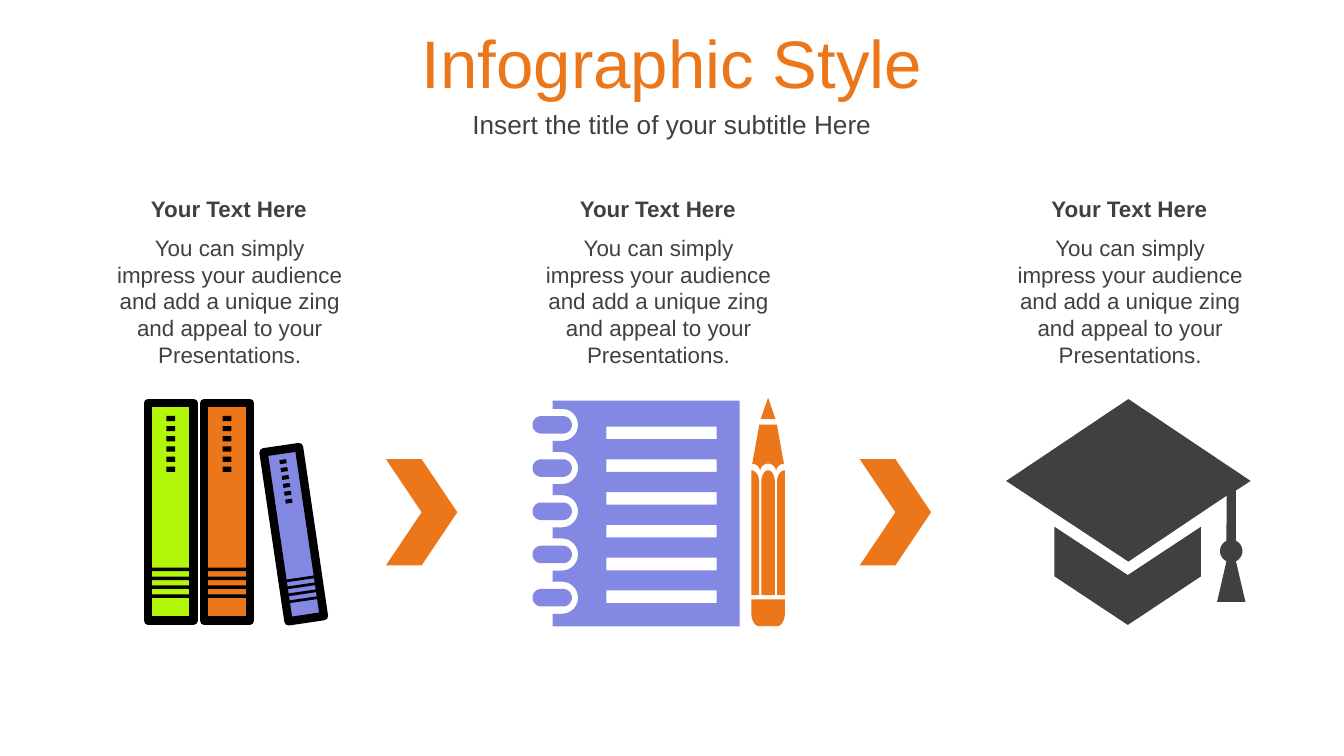
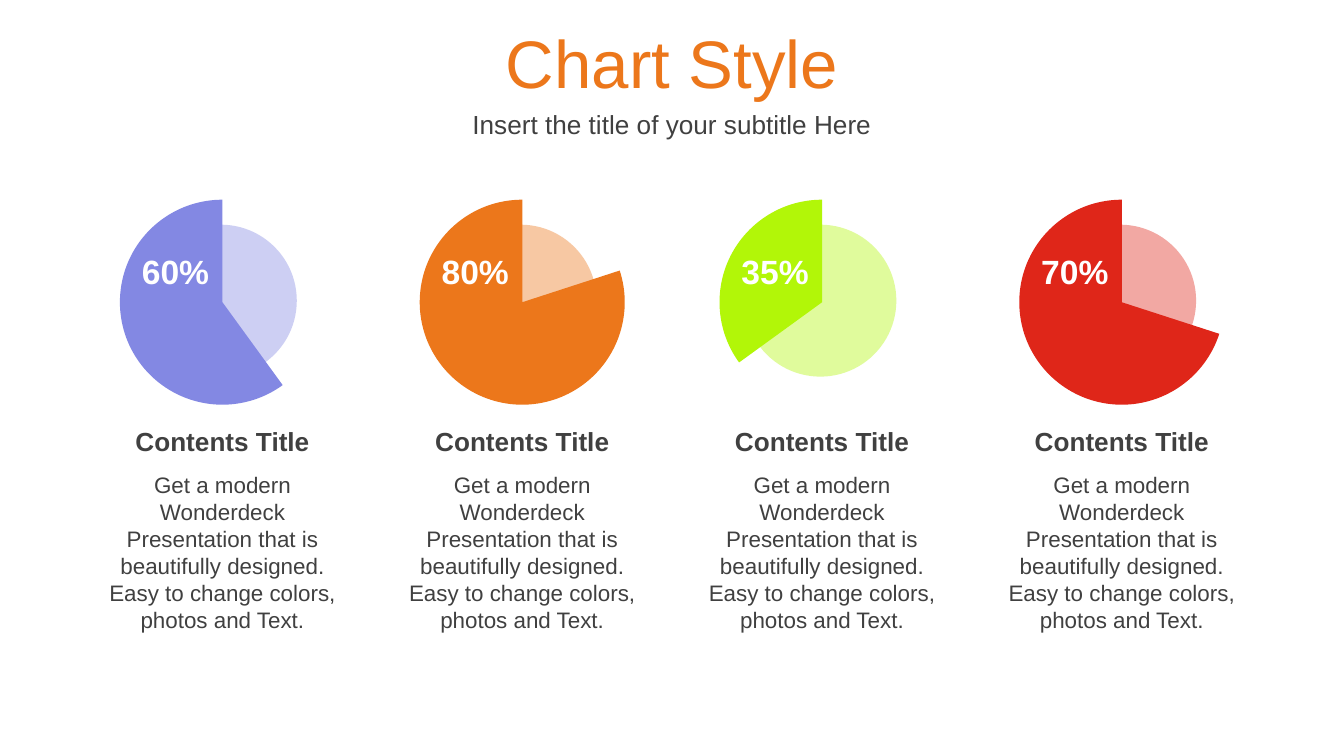
from dataclasses import dataclass
from math import cos, radians, sin

from lxml import etree
from pptx import Presentation
from pptx.chart.data import CategoryChartData
from pptx.dml.color import RGBColor
from pptx.enum import chart as charts, shapes, text
from pptx.oxml import parse_xml
from pptx.oxml.ns import nsdecls, qn
from pptx.util import Pt


@dataclass(frozen=True)
class Theme:
    font: str = "Arial"
    orange: str = "EC771B"
    blue: str = "8388E3"
    lime: str = "B2F608"
    red: str = "DF2619"
    dark: str = "404040"
    black: str = "000000"
    white: str = "FFFFFF"
    title: int = 36
    value: int = 18
    head: int = 14
    body: int = 12


T = Theme()
WIDTH, HEIGHT = 720, 405
SUBTITLE = "Insert the title of your subtitle Here"

# Infographic slide
STEP_HEAD = "Your Text Here"
STEP_TEXT = ("You can simply impress your audience and add a unique zing "
             "and appeal to your Presentations.")
STEP_LEFTS = [55.4, 285.1, 537.8]
ARROW_LEFTS = [206.8, 460.6]
# centre x, centre y, scale, tilt, colour
BOOKS = [(121.7, 274.2, 1, 0, T.orange),
         (91.5, 274.2, 1, 0, T.lime),
         (157.4, 286.2, 0.785, -8.4, T.blue)]

# Chart slide
PIE_HEAD = "Contents Title"
PIE_TEXT = ("Get a modern Wonderdeck Presentation that is beautifully designed. "
            "Easy to change colors, photos and Text.")
PIES = [(60, T.blue), (80, T.orange), (35, T.lime), (70, T.red)]
PIE_LEFT, PIE_STEP = 45.4, 160.6


def box(x, y, w, h):
    return Pt(x), Pt(y), Pt(w), Pt(h)


def rgb(code):
    return RGBColor.from_string(code)


def style(par, size, color, bold=False):
    par.alignment = text.PP_ALIGN.CENTER
    font = par.font
    font.name, font.size, font.bold = T.font, Pt(size), bold
    font.color.rgb = rgb(color)


def paint(shape, color, line=None, alpha=None):
    shape.shadow.inherit = False
    shape.fill.solid()
    shape.fill.fore_color.rgb = rgb(color)
    if line:
        shape.line.color.rgb = rgb(T.black)
        shape.line.width = Pt(line)
    else:
        shape.line.fill.background()
    if alpha:
        code = shape.fill._xPr.find(".//" + qn("a:srgbClr"))
        etree.SubElement(code, qn("a:alpha"), val=str(alpha * 1000))


def label(slide, area, words, size, color=T.dark, bold=False, inset=7.2, middle=False):
    frame = slide.shapes.add_textbox(*box(*area)).text_frame
    frame.word_wrap = True
    frame.auto_size = text.MSO_AUTO_SIZE.SHAPE_TO_FIT_TEXT
    frame.margin_left = frame.margin_right = Pt(inset)
    if middle:
        frame.vertical_anchor = text.MSO_ANCHOR.MIDDLE
    frame.text = words
    style(frame.paragraphs[0], size, color, bold)


def start(deck, title):
    """Add a slide with its title and subtitle in place."""
    slide = deck.slides.add_slide(deck.slide_layouts[1])
    rows = [(title, 10.1, 45.4, T.title, T.orange),
            (SUBTITLE, 55.4, 22.3, T.head, T.dark)]
    for holder, (words, y, h, size, color) in zip(slide.placeholders, rows):
        holder.left, holder.top, holder.width, holder.height = box(0, y, WIDTH, h)
        frame = holder.text_frame
        frame.text = words
        frame.auto_size = text.MSO_AUTO_SIZE.NONE
        frame.vertical_anchor = text.MSO_ANCHOR.MIDDLE
        par = frame.paragraphs[0]
        props = par._p.get_or_add_pPr()
        props.set("marL", "0")
        props.set("indent", "0")
        etree.SubElement(props, qn("a:buNone"))
        par.space_before = Pt(0)
        style(par, size, color)
    return slide


def arc(cx, cy, rx, ry, first, last, steps=16):
    """Points on an ellipse, in degrees clockwise from the right."""
    turns = [radians(first + (last - first) * i / steps) for i in range(steps + 1)]
    return [(cx + rx * cos(a), cy + ry * sin(a)) for a in turns]


def rect(x, y, w, h):
    return [(x, y), (x + w, y), (x + w, y + h), (x, y + h)]


def outline(slide, x, y, loops, color):
    """Draw closed loops, given from the corner x, y, as one freeform."""
    build = None
    for loop in loops:
        first, *rest = [(Pt(x + px), Pt(y + py)) for px, py in loop]
        if build is None:
            build = slide.shapes.build_freeform(*first, scale=1)
        else:
            build.move_to(*first)
        build.add_line_segments(rest, close=True)
    paint(build.convert_to_shape(), color)


def book(slide, cx, cy, scale, tilt, color):
    group = slide.shapes.add_group_shape().shapes
    turn = radians(tilt)

    def bar(shift, w, h, fill, line=None):
        w, h, shift = w * scale, h * scale, shift * scale
        x, y = cx - shift * sin(turn), cy + shift * cos(turn)
        shape = group.add_shape(shapes.MSO_SHAPE.RECTANGLE,
                                *box(x - w / 2, y - h / 2, w, h))
        shape.rotation = tilt
        paint(shape, fill, line)

    bar(0, 24.5, 116.6, color, 4.5)
    for i in range(4):
        bar(30.8 + 4.8 * i, 24.5, 1.9, T.black)
    for i in range(6):
        bar(-50 + 5.45 * i, 4.7, 2.8, T.black)


def notebook(slide, x, y):
    rings = [13 + 23.15 * i for i in range(5)]
    loops = [rect(39.6, 14 + 17.55 * i, 59, 6.7) for i in range(6)]
    page = [(110.9, 121), (110.9, 0), (10.8, 0)]
    for cy in rings:
        loops.append(arc(16.4, cy, 4.7, 4.7, -90, 90) + arc(4.7, cy, 4.7, 4.7, 90, 270))
        page += [(10.8, cy - 8.6), *arc(15.8, cy, 8.6, 8.6, -90, 90), (10.8, cy + 8.6)]
    outline(slide, x, y, loops + [page + [(10.8, 121)]], T.blue)


def pencil(slide, x, y):
    tip = [(9, 0), (13, 11.5), (5, 11.5)]
    cone = [(4.3, 14.4), *arc(0.5, 39.6, 4.2, 4.2, 270, 360),
            *arc(9, 39.6, 4.3, 4.3, 180, 360),
            *arc(17.5, 39.6, 4.2, 4.2, 180, 270), (13.7, 14.4)]
    left = [(0, 105.8), *arc(0, 45, 4.2, 6.1, 270, 360), (4.2, 105.8)]
    mid = [(5.4, 105.8), *arc(9, 45, 3.6, 6.1, 180, 360), (12.6, 105.8)]
    right = [(18 - px, py) for px, py in left]
    end = [(0, 108), *arc(4.2, 115.2, 4.2, 7.2, 180, 90),
           *arc(13.8, 115.2, 4.2, 7.2, 90, 0), (18, 108)]
    outline(slide, x, y, [tip, cone, left, mid, right, end], T.orange)


def cap(slide, x, y):
    base = [(25.9, 68.4), (65.2, 94.3), (104.4, 68.4),
            (104.4, 95), (65.2, 121), (25.9, 95)]
    board = [(65.5, 0), (131, 43.9), (123.1, 49),
             *arc(120.6, 81.4, 6, 6, -65, 65), (128.2, 108.7), (113, 108.7),
             *arc(120.6, 81.4, 6, 6, 115, 245), (118.1, 51.8), (65.5, 87.1), (0, 43.9)]
    outline(slide, x, y, [base, board], T.dark)


def pie(slide, x, y, share, color):
    data = CategoryChartData()
    data.categories = ["1", "2"]
    data.add_series("Series 1", [100 - share, share])
    chart = slide.shapes.add_chart(charts.XL_CHART_TYPE.PIE,
                                   *box(x, y, 131.8, 129.6), data).chart
    chart.has_title = chart.has_legend = False
    chart.font.name, chart.font.size = T.font, Pt(T.value)
    chart.font.color.rgb = rgb(T.black)
    plot = chart.plots[0]
    plot.vary_by_categories = True
    rest, part = (plot.series[0].points[i].format for i in range(2))
    rest.fill.background()
    part.fill.solid()
    part.fill.fore_color.rgb = rgb(color)
    for point in (rest, part):
        point.line.fill.background()
    area = chart._chartSpace.find(".//" + qn("c:plotArea"))
    for old in area.findall(qn("c:layout")):
        area.remove(old)
    sizes = [("x", 0.083), ("y", 0.076), ("w", 0.834), ("h", 0.848)]
    marks = "".join(f'<c:{k}Mode val="edge"/>' for k in "xy")
    marks += "".join(f'<c:{k} val="{v}"/>' for k, v in sizes)
    area.insert(0, parse_xml(
        f'<c:layout {nsdecls("c")}><c:manualLayout><c:layoutTarget val="inner"/>'
        f'{marks}</c:manualLayout></c:layout>'))


def steps(deck):
    slide = start(deck, "Infographic Style")
    for item in BOOKS:
        book(slide, *item)
    notebook(slide, 285.3, 214.6)
    pencil(slide, 402.5, 213.1)
    cap(slide, 539, 213.8)
    for x in ARROW_LEFTS:
        arrow = slide.shapes.add_shape(shapes.MSO_SHAPE.CHEVRON, *box(x, 246, 38.2, 56.9))
        paint(arrow, T.orange)
    for x in STEP_LEFTS:
        label(slide, (x, 121.7, 135.4, 79.9), STEP_TEXT, T.body)
        label(slide, (x, 100.8, 134.6, 21.6), STEP_HEAD, T.body, bold=True)


def shares(deck):
    slide = start(deck, "Chart Style")
    for i, (share, color) in enumerate(PIES):
        x = PIE_LEFT + PIE_STEP * i
        disc = slide.shapes.add_shape(shapes.MSO_SHAPE.OVAL,
                                      *box(x + 32.2, 120.4, 81.4, 81.4))
        paint(disc, color, alpha=40)
        pie(slide, x + 7.9, 97.2, share, color)
        label(slide, (x + 14.4, 131, 68.4, 28.8), f"{share}%", T.value,
              T.white, bold=True, middle=True)
        label(slide, (x, 249.1, 147.6, 94.3), PIE_TEXT, T.body)
        label(slide, (x, 224.6, 147.6, 24.5), PIE_HEAD, T.head, bold=True, inset=8.6)


def main():
    deck = Presentation()
    deck.slide_width, deck.slide_height = Pt(WIDTH), Pt(HEIGHT)
    steps(deck)
    shares(deck)
    deck.save("out.pptx")


if __name__ == "__main__":
    main()
